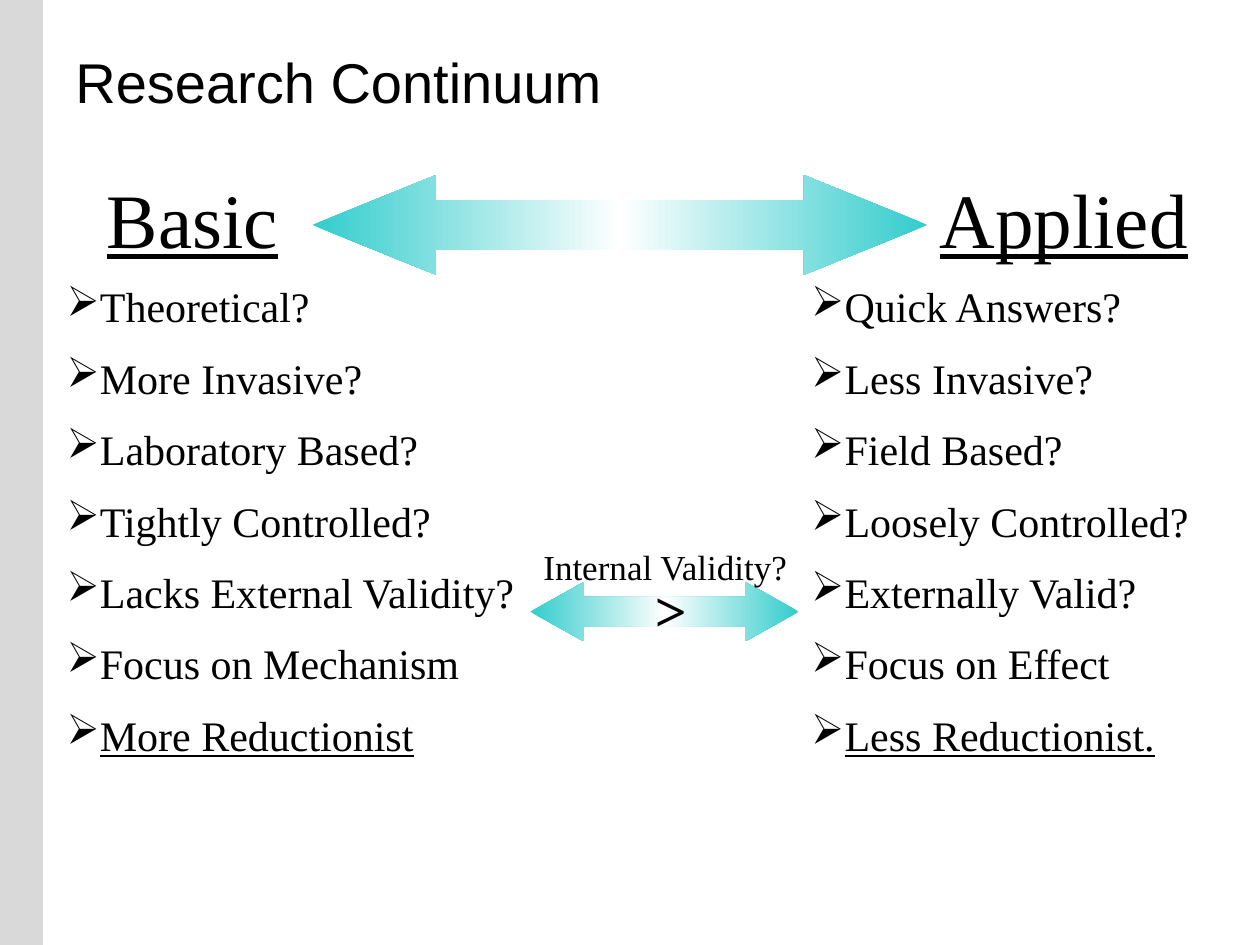
from dataclasses import dataclass
from lxml.etree import SubElement
from pptx import Presentation
from pptx.dml.color import RGBColor
from pptx.enum.shapes import MSO_SHAPE
from pptx.enum.text import PP_ALIGN
from pptx.oxml.ns import qn
from pptx.util import Inches, Pt


@dataclass(frozen=True)
class Theme:
    ink: RGBColor = RGBColor(0, 0, 0)
    teal: RGBColor = RGBColor(0x33, 0xCC, 0xCC)
    white: RGBColor = RGBColor(255, 255, 255)
    band: RGBColor = RGBColor(0xD9, 0xD9, 0xD9)
    sans: str = "Arial"
    serif: str = "Times New Roman"
    heading: int = 44
    title: int = 32
    body: int = 24
    label: int = 20


theme = Theme()


def add_text(box, lines, size, font=theme.serif, align=PP_ALIGN.LEFT, bold=False,
             underlined=(), bullet=None, space_before=50):
    frame = slide.shapes.add_textbox(*map(Inches, box)).text_frame
    frame.word_wrap = True
    for index, line in enumerate(lines):
        paragraph = frame.paragraphs[0] if index == 0 else frame.add_paragraph()
        paragraph.alignment = align
        properties = paragraph._p.get_or_add_pPr()
        if space_before:
            spacing = SubElement(properties, qn("a:spcBef"))
            SubElement(spacing, qn("a:spcPct")).set("val", str(space_before * 1000))
        if bullet:
            properties.set("marL", "0")
            properties.set("indent", "0")
            SubElement(properties, qn("a:buChar")).set("char", bullet)
        run = paragraph.add_run()
        run.text = line
        run.font.name = font
        run.font.size = Pt(size)
        run.font.bold = bold
        run.font.underline = line in underlined
        run.font.color.rgb = theme.ink


def add_double_arrow(box, head_length):
    arrow = slide.shapes.add_shape(MSO_SHAPE.LEFT_RIGHT_ARROW, *map(Inches, box))
    arrow.shadow.inherit = False
    arrow.line.fill.background()
    arrow.adjustments[0] = 0.5
    arrow.adjustments[1] = head_length
    arrow.fill.gradient()
    arrow.fill.gradient_angle = 0
    stops = arrow.fill._fill._gradFill.gsLst
    for stop in list(stops):
        stops.remove(stop)
    for position, color in ((0, theme.teal), (50, theme.white), (100, theme.teal)):
        stop = SubElement(stops, qn("a:gs"))
        stop.set("pos", str(position * 1000))
        SubElement(stop, qn("a:srgbClr")).set("val", str(color))


presentation = Presentation()
presentation.slide_width = Inches(10)
presentation.slide_height = Inches(7.5)
slide = presentation.slides.add_slide(presentation.slide_layouts[6])

side_band = slide.shapes.add_shape(MSO_SHAPE.RECTANGLE, 0, 0, Inches(0.34), Inches(7.5))
side_band.shadow.inherit = False
side_band.fill.solid()
side_band.fill.fore_color.rgb = theme.band
side_band.line.fill.background()

add_text((0.5, 0.33, 9.17, 1.25), ["Research Continuum"], theme.title,
         font=theme.sans, space_before=0)

add_double_arrow((2.48, 1.39, 4.88, 0.79), 1.239)

columns = [
    ("Basic", (0.75, 1.31, 1.65, 0.83), (0.43, 2.18, 4.17, 4.69),
     ["Theoretical?", "More Invasive?", "Laboratory Based?", "Tightly Controlled?",
      "Lacks External Validity?", "Focus on Mechanism", "More Reductionist"]),
    ("Applied", (7.36, 1.31, 2.2, 0.83), (6.34, 2.18, 3.7, 4.69),
     ["Quick Answers?", "Less Invasive?", "Field Based?", "Loosely Controlled?",
      "Externally Valid?", "Focus on Effect", "Less Reductionist."]),
]
for heading, heading_box, list_box, traits in columns:
    add_text(heading_box, [heading], theme.heading, underlined=[heading])
    add_text(list_box, traits, theme.body, underlined=traits[-1:], bullet="➢")

add_double_arrow((4.21, 4.62, 2.13, 0.47), 0.901)
add_text((4.1, 4.28, 2.36, 0.43), ["Internal Validity?"], theme.label, align=PP_ALIGN.CENTER)
add_text((5.1, 4.52, 0.94, 0.63), [">"], theme.title, bold=True)

presentation.save("out.pptx")
